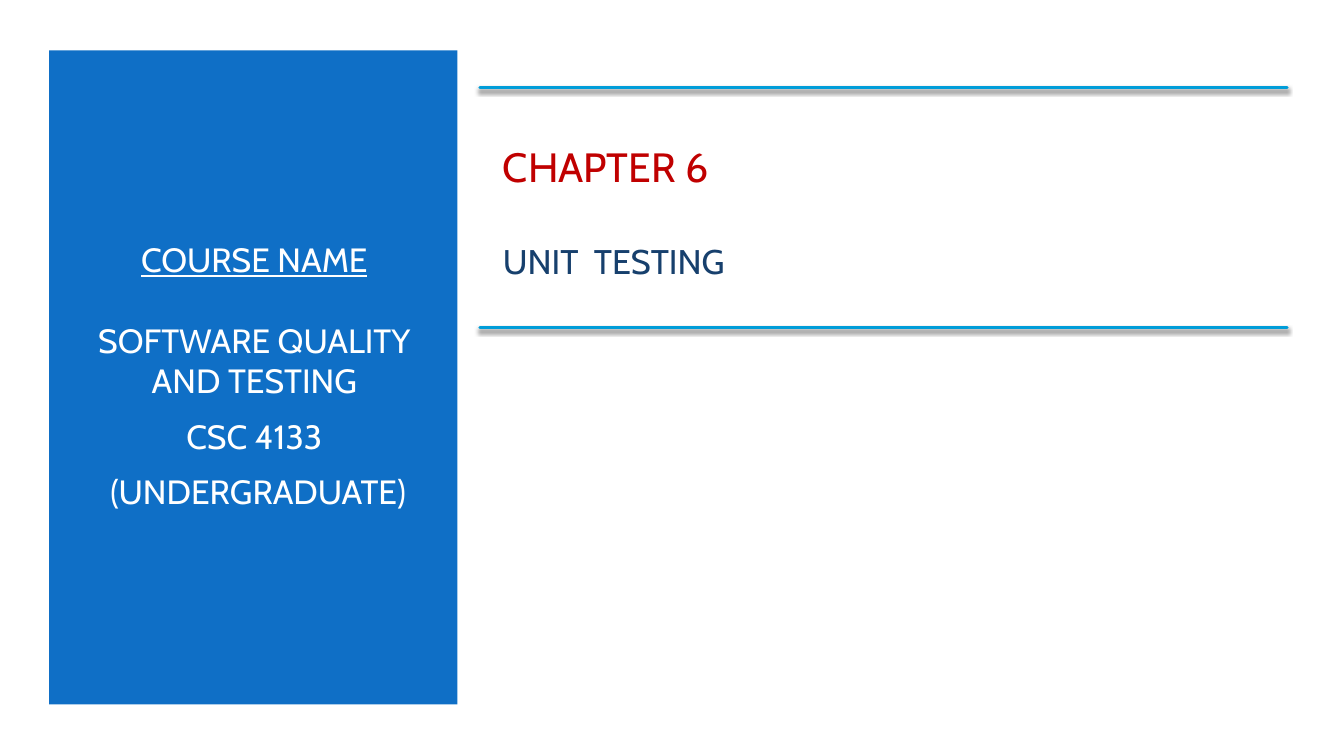
from lxml import etree
from pptx import Presentation
from pptx import util as u
from pptx.dml.color import RGBColor
from pptx.enum import shapes, text
from pptx.oxml import ns

FONT = "Cabin"


def colour(value):
    return RGBColor.from_string(value)


def add_run(paragraph, wording, size, shade, underline=False):
    run = paragraph.add_run()
    run.text = wording
    run.font.name = FONT
    run.font.size = u.Pt(size)
    run.font.color.rgb = colour(shade)
    run.font.underline = underline


def add_rule(slide, left, top, width):
    rule = slide.shapes.add_connector(
        shapes.MSO_CONNECTOR.STRAIGHT, u.Cm(left), u.Cm(top), u.Cm(left + width), u.Cm(top))
    rule.line.color.rgb = colour("009DD9")
    rule.line.width = u.Pt(2)
    rule.line._get_or_add_ln().set("cap", "rnd")
    properties = rule._element.spPr
    effects = etree.SubElement(properties, ns.qn("a:effectLst"))
    shadow = etree.SubElement(
        effects, ns.qn("a:outerShdw"), blurRad=str(u.Pt(3)), dist=str(u.Pt(2)),
        dir="5400000", rotWithShape="0")
    black = etree.SubElement(shadow, ns.qn("a:srgbClr"), val="000000")
    etree.SubElement(black, ns.qn("a:alpha"), val="55000")


def add_course_panel(slide, left, top, width, height):
    panel = slide.shapes.add_shape(
        shapes.MSO_SHAPE.RECTANGLE, u.Cm(left), u.Cm(top), u.Cm(width), u.Cm(height))
    panel.shadow.inherit = False
    panel.fill.solid()
    panel.fill.fore_color.rgb = colour("0F6FC6")
    panel.line.fill.background()

    box = slide.shapes.add_textbox(
        u.Cm(left + 0.89), u.Cm(top + 1.52), u.Cm(width - 1.73), u.Cm(height - 3.14))
    frame = box.text_frame
    frame.word_wrap = True
    frame.vertical_anchor = text.MSO_ANCHOR.MIDDLE
    course_lines = [
        ("COURSE NAME", True, 24),
        ("SOFTWARE QUALITY AND TESTING", False, 6),
        ("CSC 4133", False, 6),
        (" (UNDERGRADUATE)", False, 6),
    ]
    for index, (wording, underline, space_after) in enumerate(course_lines):
        paragraph = frame.add_paragraph() if index else frame.paragraphs[0]
        paragraph.alignment = text.PP_ALIGN.CENTER
        paragraph.space_before = u.Pt(4.8)
        paragraph.space_after = u.Pt(space_after)
        add_run(paragraph, wording, 24, "FFFFFF", underline)


def add_chapter_banner(slide, left, top, width, height):
    title = slide.shapes.title
    title.left, title.top = u.Cm(left + 0.33), u.Cm(top + 0.58)
    title.width, title.height = u.Cm(width - 0.41), u.Cm(height - 0.97)
    frame = title.text_frame
    frame.word_wrap = True
    frame.auto_size = text.MSO_AUTO_SIZE.NONE
    frame.vertical_anchor = text.MSO_ANCHOR.MIDDLE
    chapter = frame.paragraphs[0]
    topic = frame.add_paragraph()
    for paragraph in (chapter, topic):
        paragraph.alignment = text.PP_ALIGN.LEFT
    topic.space_before = u.Pt(35.5)
    add_run(chapter, "CHAPTER 6", 29.2, "C00000")
    add_run(topic, "UNIT  TESTING", 24.4, "17406D")

    for rule_top in (top, top + height):
        add_rule(slide, left, rule_top, width)


def main():
    presentation = Presentation()
    presentation.slide_width = u.Cm(33.87)
    presentation.slide_height = u.Cm(19.05)
    slide = presentation.slides.add_slide(presentation.slide_layouts[5])
    add_course_panel(slide, 1.24, 1.27, 10.29, 16.48)
    add_chapter_banner(slide, 12.09, 2.21, 20.35, 6.05)
    presentation.save("out.pptx")


if __name__ == "__main__":
    main()
